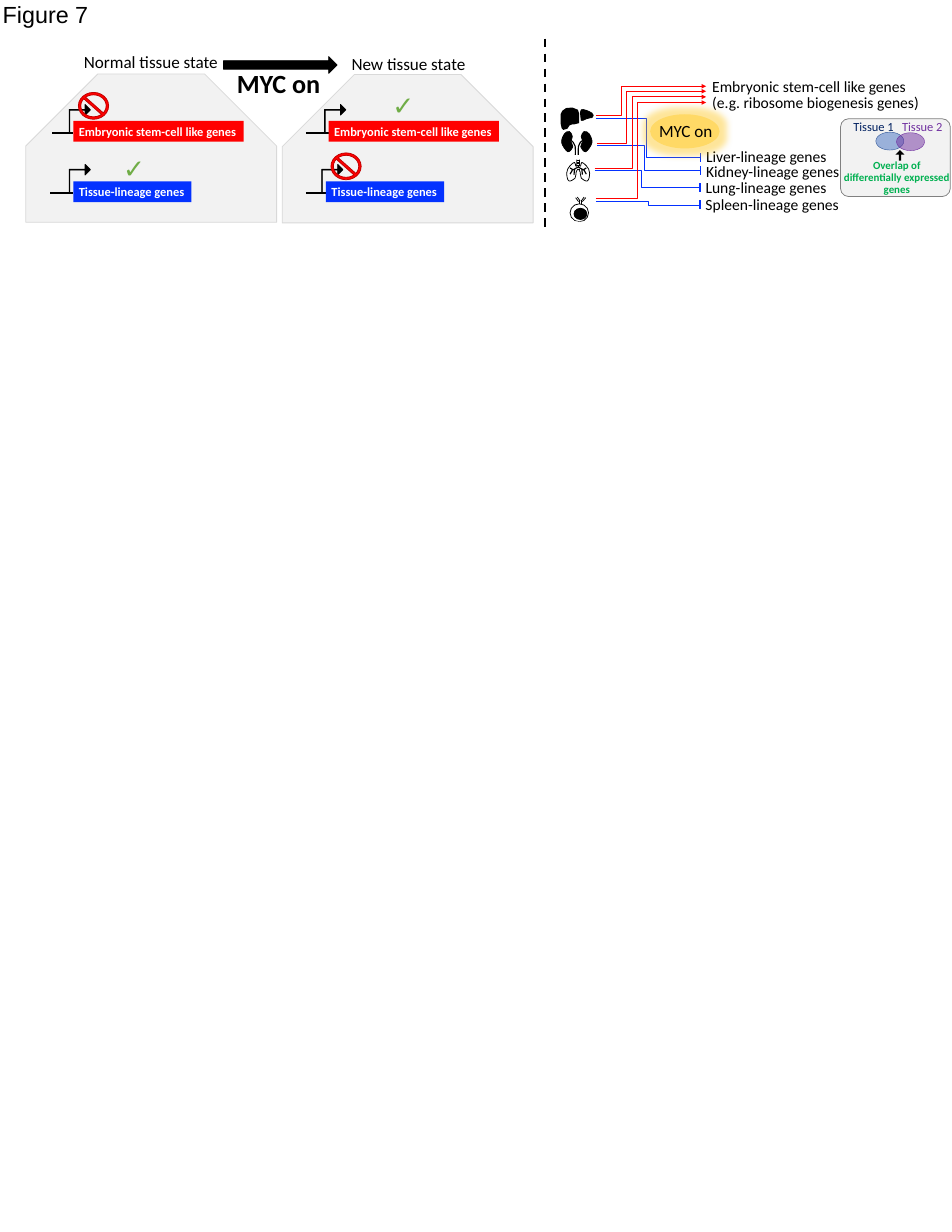
from lxml import etree
from pptx import Presentation
from pptx.dml.color import RGBColor
from pptx.enum.dml import MSO_LINE
from pptx.enum.shapes import MSO_CONNECTOR, MSO_SHAPE
from pptx.enum.text import MSO_ANCHOR, MSO_AUTO_SIZE, PP_ALIGN
from pptx.oxml.ns import qn
from pptx.util import Pt

PX = 9144
RECT, OVAL, ROUND = MSO_SHAPE.RECTANGLE, MSO_SHAPE.OVAL, MSO_SHAPE.ROUNDED_RECTANGLE
SNIP, BENT, STOP = MSO_SHAPE.SNIP_2_SAME_RECTANGLE, MSO_SHAPE.BENT_UP_ARROW, MSO_SHAPE.NO_SYMBOL
RIGHT, DOWN, CHORD = MSO_SHAPE.RIGHT_ARROW, MSO_SHAPE.DOWN_ARROW, MSO_SHAPE.CHORD
STRAIGHT, ELBOW = MSO_CONNECTOR.STRAIGHT, MSO_CONNECTOR.ELBOW
DASH, LEFT, CENTER = MSO_LINE.DASH, PP_ALIGN.LEFT, PP_ALIGN.CENTER
MIDDLE, TOP = MSO_ANCHOR.MIDDLE, MSO_ANCHOR.TOP
GROW, FIXED = MSO_AUTO_SIZE.SHAPE_TO_FIT_TEXT, MSO_AUTO_SIZE.NONE

HUES = {
    "ink": "000000", "paper": "FFFFFF", "pale": "F2F2F2", "edge": "D9D9D9",
    "gray": "808080", "red": "FF0000", "dark": "C00000", "blue": "0432FF",
    "navy": "002060", "plum": "7030A0", "green": "00B050", "leaf": "70AD47",
    "gold": "FFD966", "glow": "FFC000", "sky": "4472C4", "deep": "2F5597",
}

KIDNEY = [(17, 17), (17, 14), (21, 12), (20, 9), (20, 6), (17, 1), (15, 0),
          (12, 0), (8, 0), (6, 4), (4, 7), (0, 14), (1, 20), (2, 25), (9, 35),
          (12, 36), (16, 37), (20, 29), (21, 27), (22, 24), (17, 20), (17, 17)]
DUCT = [(17, 15), (20, 18), (24, 20), (25, 26), (26, 32), (25, 51), (25, 51)]
LUNG = [(18, 0), (18, 5), (18, 9), (18, 11), (18, 13), (16, 12), (16, 11),
        (15, 10), (16, 5), (14, 5), (13, 5), (8, 8), (6, 11), (3, 14), (0, 19),
        (0, 24), (0, 28), (1, 37), (4, 38), (6, 40), (13, 35), (15, 33),
        (17, 30), (16, 24), (17, 22), (18, 19), (20, 17), (20, 17)]
TWIGS = [(21, 13, 10, 19), (10, 19, 6, 26), (14, 17, 13, 27), (6, 15, 11, 18)]
RINGS = [(18, 2), (18, 5), (18, 7), (18, 10), (19, 17)]
LIVER = [(5, 40), (2, 37), (0, 28), (0, 12), (3, 6), (10, 1), (21, 0), (31, 4),
         (33, 10), (33, 28), (25, 30), (21, 30), (16, 32), (15, 34), (12, 38)]
LOBE = [(37, 4), (40, 2), (52, 7), (56, 10), (59, 12), (59, 16), (57, 17),
        (56, 19), (49, 18), (46, 20), (43, 21), (37, 25), (37, 25),
        (35, 25), (38, 27), (37, 24), (37, 21), (34, 7), (37, 4)]
VEINS = [(17, 12, 17, 5), (20, 13, 20, 6), (20, 7, 25, 0), (18, 7, 13, 0),
         (22, 8, 28, 1), (15, 8, 10, 1)]
ROUTES = [
    ("Liver-lineage genes", 0, 258, 238, 206, 211, 282, 155),
    ("Kidney-lineage genes", 2, 284, 260, 256, 260, 305, 150),
    ("Lung-lineage genes", -2, 312, 238, 301, 305, 335, 146),
    ("Spleen-lineage genes", 0, 344, 267, 354, 359, 366, 157),
]

deck = Presentation()
deck.slide_width, deck.slide_height = 1700 * PX, 2200 * PX
page = deck.slides.add_slide(deck.slide_layouts[6]).shapes


def style(item, **vals):
    for name, val in vals.items():
        setattr(item, name, val)


def hue(name):
    return RGBColor.from_string(HUES[name])


def paint(item, fill, line, wide=1, alpha=None):
    item.shadow.inherit = False
    if fill:
        item.fill.solid()
        item.fill.fore_color.rgb = hue(fill)
    else:
        item.fill.background()
    if line:
        item.line.color.rgb = hue(line)
        item.line.width = Pt(wide)
    else:
        item.line.fill.background()
    if alpha:
        tone = item._element.spPr.find(".//" + qn("a:srgbClr"))
        etree.SubElement(tone, qn("a:alpha"), val=str(alpha * 1000))


def shape(kind, x, y, w, h, fill, line=None, adj=(), wide=1, alpha=None, turn=0):
    item = page.add_shape(kind, x * PX, y * PX, w * PX, h * PX)
    for i, val in enumerate(adj):
        item.adjustments[i] = val
    item.rotation = turn
    paint(item, fill, line, wide, alpha)
    return item


def write(item, words, size, color="ink", bold=False, face="Calibri",
          align=LEFT, gap=None, anchor=TOP, fit=GROW):
    frame = item.text_frame
    style(frame, word_wrap=False, auto_size=fit, vertical_anchor=anchor, text=words)
    for para in frame.paragraphs:
        style(para, alignment=align, line_spacing=Pt(gap) if gap else None)
        for run in para.runs:
            style(run.font, name=face, size=Pt(size), bold=bold)
            run.font.color.rgb = hue(color)


def text(words, x, y, w, h, size, **look):
    write(page.add_textbox(x * PX, y * PX, w * PX, h * PX), words, size, **look)


def wire(x1, y1, x2, y2, color="ink", wide=1, turn=None, head=False):
    kind = STRAIGHT if turn is None else ELBOW
    item = page.add_connector(kind, x1 * PX, y1 * PX, x2 * PX, y2 * PX)
    style(item.line, width=Pt(wide))
    item.line.color.rgb = hue(color)
    props = item._element.spPr
    if turn is not None:
        ratio = round((turn - x1) / (x2 - x1) * 100000)
        slot = props.find(qn("a:prstGeom")).get_or_add_avLst()
        etree.SubElement(slot, qn("a:gd"), name="adj1", fmla=f"val {ratio}")
    if head:
        etree.SubElement(item.line._get_or_add_ln(), qn("a:tailEnd"), type="triangle")
    etree.SubElement(props, qn("a:effectLst"))
    return item


def bend(item):
    route = item._element.spPr.find(".//" + qn("a:path"))
    legs = route.findall(qn("a:lnTo"))
    for i in range(0, len(legs), 3):
        arc = etree.Element(qn("a:cubicBezTo"))
        legs[i].addprevious(arc)
        for leg in legs[i:i + 3]:
            arc.append(leg[0])
            route.remove(leg)


def trace(dots, x, y, fill=None, line="ink", wide=1, flip=None, curved=True):
    spots = [((x + (flip - a if flip else a)) * PX, (y + b) * PX) for a, b in dots]
    pen = page.build_freeform(*spots[0], scale=1.0)
    pen.add_line_segments(spots[1:], close=bool(fill))
    item = pen.convert_to_shape()
    if curved:
        bend(item)
    paint(item, fill, line, wide)


def gene(x, y, words, w, color, stub, rise, tick):
    wire(x - stub, y + 45 - rise, x, y + 45 - rise, wide=2)
    hook = shape(BENT, x - 14, y - rise, 51, 38, "ink", "ink", (.031, .25, .25), turn=90)
    hook._element.spPr.find(qn("a:xfrm")).set("flipH", "1")
    label = shape(RECT, x, y, w, 37, color)
    write(label, words, 16, color="paper", bold=True, anchor=MIDDLE, fit=FIXED)
    if tick:
        text("✓", x + tick[0], y + tick[1], 56, 67, 33.7, color="leaf")
    else:
        shape(STOP, x + 9, y - 51, 54, 48, "red", "dark", (.09,))


def panel(x, y, lift, title, shift, drop, wide, stem, line):
    shape(SNIP, x, y + lift, 448, 265, "pale", "edge", (.486, 0))
    text(title, x + shift, y + drop, wide, 47, 22)
    gene(x + line[0], y + 192, "Tissue-lineage genes", 211, "blue", line[1], 24, line[2])
    gene(x + stem[0], y + 84, "Embryonic stem-cell like genes", 304, "red",
         stem[1], 23, stem[2])


def change(x, y):
    shape(RIGHT, x, y, 203, 30, "ink", "ink")
    text("MYC on", x + 14, y + 14, 171, 67, 33.7, bold=True)


def routes(x, y):
    for i, (name, dx, top, wide, start, low, end, turn) in enumerate(ROUTES):
        begin, stop = x + 64 + dx, x + 251 - i // 2
        wire(begin, y + low, stop, y + end, "blue", turn=x + turn)
        wire(begin, y + start, x + 261, y + 154 + 29 * i // 3, "red",
             turn=x + 109 + 10 * i, head=True)
        wire(stop, y + end - 8, stop, y + end + 8, "blue", 1.5)
        text(name, stop, y + top, wide, 44, 20)
    text("Embryonic stem-cell like genes\n(e.g. ribosome biogenesis genes)",
         x + 262, y + 138, 393, 67, 20, gap=20.4)
    sun = shape(OVAL, x + 161, y + 204, 124, 61, "gold")
    glow = etree.SubElement(sun._element.spPr.find(qn("a:effectLst")),
                            qn("a:glow"), rad="228600")
    tone = etree.SubElement(glow, qn("a:srgbClr"), val=HUES["glow"])
    etree.SubElement(tone, qn("a:alpha"), val="40000")
    text("MYC on", x + 167, y + 210, 116, 47, 22)


def liver(x, y):
    trace(LIVER, x, y, "ink", None, curved=False)
    trace(LOBE, x, y, "ink")
    shape(RECT, x + 35, y + 24, 10, 5, "paper")


def kidneys(x, y):
    for flip in (None, 56):
        trace(KIDNEY, x, y, "ink", flip=flip)
        trace(DUCT, x, y, wide=1.5, flip=flip)
    shape(RECT, x + 21, y + 43, 17, 13, "paper", "paper")


def lungs(x, y):
    for flip in (None, 41):
        trace(LUNG, x, y, flip=flip)
        for a, b, c, d in TWIGS:
            if flip:
                a, c = flip - a, flip - c
            wire(x + a, y + b, x + c, y + d, wide=1.5)
    for left, top in RINGS:
        wire(x + left, y + top, x + 23, y + top)
    wire(x + 21, y + 10, x + 21, y + 14, wide=1.5)


def spleen(x, y):
    shape(OVAL, x, y + 12, 33, 32, "paper", "ink")
    shape(OVAL, x + 7, y + 20, 23, 20, "ink", "ink")
    for a, b, c, d in VEINS:
        wire(x + a, y + b, x + c, y + d)
    shape(CHORD, x - 25, y + 30, 51, 33, "paper", "paper", turn=332.4)
    shape(CHORD, x - 7, y + 34, 51, 33, "paper", turn=295.9)


def key(x, y):
    shape(ROUND, x, y, 196, 139, "pale", "gray", (.105,))
    for name, dx, color in (("Tissue 1", 13, "navy"), ("Tissue 2", 100, "plum")):
        text(name, x + dx, y - 4, 93, 37, 16, color=color)
    text("Overlap of\vdifferentially expressed\ngenes", x - 5, y + 70, 211, 73, 14,
         color="green", bold=True, align=CENTER, gap=14.8)
    shape(DOWN, x + 98, y + 56, 16, 19, "ink", adj=(.246, .5), turn=180)
    for dx, dy, fill, line in ((63, 24, "sky", "deep"), (100, 25, "plum", "plum")):
        shape(OVAL, x + dx, y + dy, 50, 32, fill, line, wide=.5, alpha=50)


def main():
    text("Figure 7", -5, -5, 174, 61, 30, face="Arial")
    panel(46, 132, 0, "Normal tissue state", 94, -45, 262,
          (85, 38, None), (85, 41, (79, -57)))
    panel(504, 132, 1, "New tissue state", 114, -42, 226,
          (83, 41, (104, -62)), (78, 36, None))
    change(399, 101)
    wire(974, 69, 974, 413, wide=2.75).line.dash_style = DASH
    routes(1000, 0)
    liver(1001, 192)
    kidneys(1002, 235)
    lungs(1012, 285)
    spleen(1018, 352)
    key(1501, 212)
    deck.save("out.pptx")


if __name__ == "__main__":
    main()
